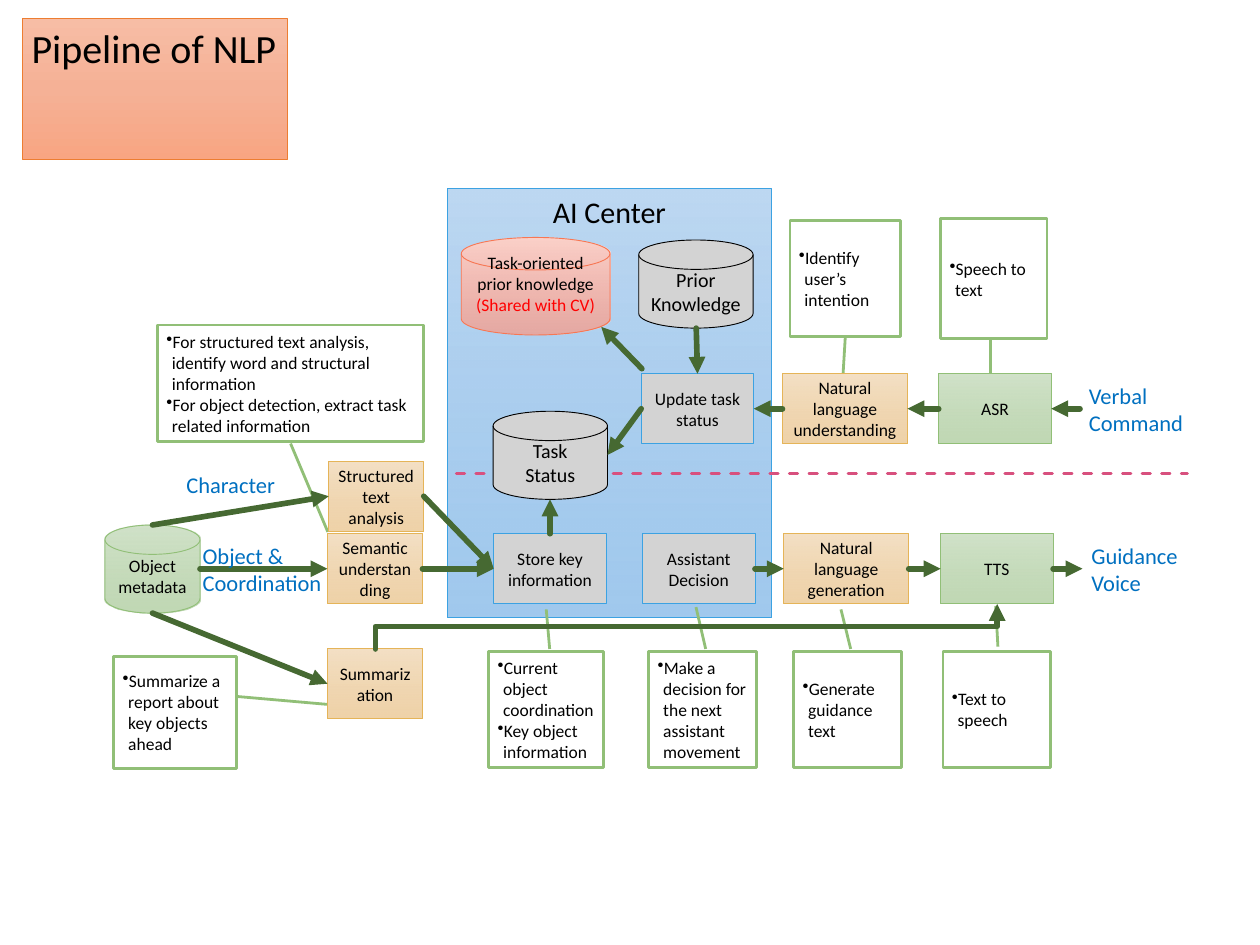
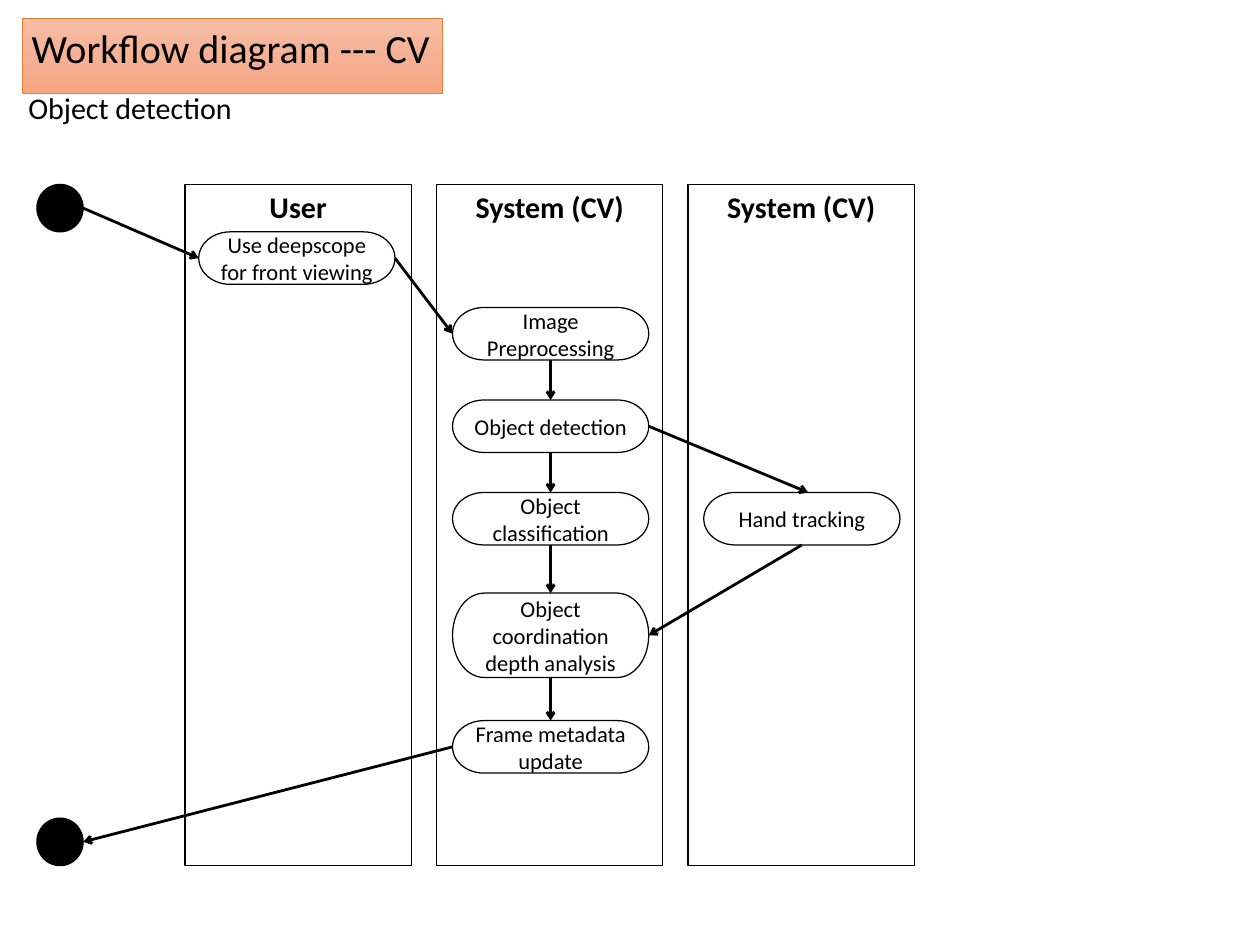
from lxml import etree
from pptx import Presentation
from pptx.dml.color import RGBColor
from pptx.enum.dml import MSO_LINE
from pptx.enum.shapes import MSO_CONNECTOR as LINK, MSO_SHAPE as SHAPE
from pptx.enum.text import MSO_ANCHOR as ANCHOR, MSO_AUTO_SIZE as FIT, PP_ALIGN as ALIGN
from pptx.oxml.ns import qn
from pptx.util import Pt

FONT = "Calibri"
COLORS = {
    "black": "000000", "white": "FFFFFF", "gray": "D3D3D3", "red": "FF0000",
    "label": "0070C0", "arrow": "466932", "divider": "D8507E",
    "title line": "ED7D31", "blue line": "3CA2E2", "green line": "91BF77",
    "orange line": "E5B458", "red line": "F77754",
}
# Vertical gradients: position, colour, opacity (all in percent except colour)
GRADIENTS = {
    "title": [(0, "F7BDA5", 100), (50, "F5B196", 100), (100, "F8A582", 100)],
    "blue": [(0, "BDD8F2", 100), (100, "81B7E8", 74)],
    "orange": [(0, "F4E0C5", 100), (100, "EAC48C", 74)],
    "green": [(0, "D1E2C9", 100), (100, "ACCC9C", 74)],
    "red": [(0, "FCD1C9", 100), (100, "F89C8A", 74)],
}
TOP, LEFT, BOTTOM, RIGHT = range(4)


def rgb(name):
    return RGBColor.from_string(COLORS[name])


def points(*lengths):
    return [Pt(length) for length in lengths]


def paint(shape, fill, line, weight):
    if fill in GRADIENTS and not (fill == "red" and line != "red line"):
        shape.fill.gradient()
        shape.fill.gradient_angle = 270
        stops = shape._element.spPr.find(qn("a:gradFill")).find(qn("a:gsLst"))
        for stop in list(stops):
            stops.remove(stop)
        for position, color, opacity in GRADIENTS[fill]:
            stop = etree.SubElement(stops, qn("a:gs"), pos=str(position * 1000))
            tone = etree.SubElement(stop, qn("a:srgbClr"), val=color)
            if opacity < 100:
                etree.SubElement(tone, qn("a:alpha"), val=str(opacity * 1000))
    else:
        shape.fill.solid()
        shape.fill.fore_color.rgb = rgb(fill)
    shape.line.color.rgb = rgb(line)
    shape.line.width = Pt(weight)


def write(shape, lines, size, color="black", align=ALIGN.CENTER,
          anchor=ANCHOR.MIDDLE, bold=False, wrap=True, bullets=False):
    """Fill a shape with paragraphs; a line is text or a (text, colour) pair."""
    frame = shape.text_frame
    frame.word_wrap = wrap
    frame.auto_size = FIT.NONE if wrap else FIT.SHAPE_TO_FIT_TEXT
    frame.vertical_anchor = anchor
    for index, line in enumerate(lines):
        text, tone = (line, color) if isinstance(line, str) else line
        para = frame.add_paragraph() if index else frame.paragraphs[0]
        para.alignment = align
        if bullets:
            props = para._p.get_or_add_pPr()
            props.set("marL", str(Pt(4.5)))
            props.set("indent", str(Pt(-4.5)))
            etree.SubElement(props, qn("a:buChar"), char="•")
        span = para.add_run()
        span.text = text
        span.font.name = FONT
        span.font.size = Pt(size)
        span.font.bold = bold
        span.font.color.rgb = rgb(tone)


def add_page(deck, title, width):
    page = deck.slides.add_slide(deck.slide_layouts[5])
    box = page.shapes.title
    box.left, box.top, box.width, box.height = points(18, 15, width, 46)
    paint(box, "title", "title line", 0.5)
    write(box, [title], 32, align=ALIGN.LEFT, anchor=ANCHOR.TOP, wrap=False)
    return page


def add_box(page, kind, place, fill, line, lines=(), size=14, weight=0.75, **style):
    box = page.shapes.add_shape(kind, *points(*place))
    box.shadow.inherit = False
    paint(box, fill, line, weight)
    if lines:
        write(box, lines, size, **style)
    return box


def add_callout(page, place, pointer, lines):
    box = add_box(page, SHAPE.LINE_CALLOUT_1, place, "white", "green line", lines,
                  weight=2.25, align=ALIGN.LEFT, bullets=True)
    for index, value in enumerate(pointer):
        box.adjustments[index] = value


def add_label(page, place, lines, size=18, color="label", align=ALIGN.LEFT):
    box = page.shapes.add_textbox(*points(*place))
    write(box, lines, size, color, align, ANCHOR.TOP, wrap=False)


def add_line(page, start, end, color, weight, head=None, dash=None, kind=LINK.STRAIGHT):
    """Draw a line; each end is an (x, y) point or a (shape, side) pair."""
    joined = [not isinstance(tip[0], (int, float)) for tip in (start, end)]
    corners = [(0, 0) if join else tip for join, tip in zip(joined, (start, end))]
    link = page.shapes.add_connector(kind, *points(*corners[0], *corners[1]))
    if joined[0]:
        link.begin_connect(*start)
    if joined[1]:
        link.end_connect(*end)
    link.line.color.rgb = rgb(color)
    link.line.width = Pt(weight)
    if dash:
        link.line.dash_style = dash
    props = link._element.spPr
    outline = props.find(qn("a:ln"))
    if color != "black":
        outline.set("cap", "rnd")
    if head:
        etree.SubElement(outline, qn("a:tailEnd"), type=head)
    etree.SubElement(props, qn("a:effectLst"))
    return link


def build_pipeline(deck):
    page = add_page(deck, "Pipeline of NLP", 212)

    # Centre panel and divider
    add_box(page, SHAPE.RECTANGLE, (358, 151, 259, 343), "blue", "blue line",
            ["AI Center"], 24, anchor=ANCHOR.TOP)
    add_line(page, (365, 378.5), (950, 378.5), "divider", 2.25, dash=MSO_LINE.DASH)

    # Callouts: place, pointer, bullets
    for place, pointer, lines in [
        ((91, 525, 98, 89.5), (0.36, 1.01, 0.43, 1.74),
         ["Summarize a report about key objects ahead"]),
        ((126, 260, 213, 93), (1.02, 0.5, 1.78, 0.64),
         ["For structured text analysis, identify word and structural information",
          "For object detection, extract task related information"]),
        ((391, 521, 92, 93), (-0.02, 0.53, -0.36, 0.5),
         ["Current object coordination", "Key object information"]),
        ((519, 521, 86, 93), (-0.02, 0.53, -0.38, 0.44),
         ["Make a decision for the next assistant movement"]),
        ((632, 176.5, 88.5, 93), (1, 0.5, 1.32, 0.48), ["Identify user’s intention"]),
        ((635, 521, 86, 93), (-0.02, 0.53, -0.36, 0.44), ["Generate guidance text"]),
        ((754.5, 521, 86, 93), (-0.04, 0.51, -0.39, 0.49), ["Text to speech"]),
        ((752.5, 175, 85, 96), (1, 0.47, 1.29, 0.47), ["Speech to text"]),
    ]:
        add_callout(page, place, pointer, lines)

    # Data stores
    disk = SHAPE.FLOWCHART_MAGNETIC_DISK
    add_box(page, disk, (84, 420, 76, 70.5), "green", "green line", ["Object", "metadata"])
    add_box(page, disk, (394.5, 329, 91.5, 70.5), "gray", "black", ["Task", "Status"], 16)
    add_box(page, disk, (511, 192, 91.5, 70.5), "gray", "black", ["Prior", "Knowledge"], 16)
    shared = add_box(page, disk, (369, 190, 119, 78), "red", "red line",
                     ["Task-oriented prior knowledge", ("(Shared with CV)", "red")])
    shared.text_frame.margin_bottom = Pt(20.5)

    # Steps: left, top, width, colour, text
    steps = {}
    for name, left, top, width, fill, lines in [
        ("semantic", 262, 427, 76, "orange", ["Semantic", "understanding"]),
        ("summary", 262, 519, 76, "orange", ["Summarization"]),
        ("structured", 263, 369, 76, "orange", ["Structured text analysis"]),
        ("asr", 751, 299, 90, "green", ["ASR"]),
        ("tts", 752.5, 427, 90, "green", ["TTS"]),
        ("understanding", 626, 299, 100, "orange", ["Natural language understanding"]),
        ("generation", 627, 427, 100, "orange", ["Natural language generation"]),
        ("update", 513, 299, 90, "gray", ["Update task status"]),
        ("decision", 514, 427, 90, "gray", ["Assistant", "Decision"]),
        ("store", 395, 427, 90, "gray", ["Store key information"]),
    ]:
        line = "blue line" if fill == "gray" else f"{fill} line"
        steps[name] = add_box(page, SHAPE.RECTANGLE, (left, top, width, 56),
                              fill, line, lines)

    # Flow arrows
    for start, end in [
        ((steps["decision"], RIGHT), (steps["generation"], LEFT)),
        ((steps["generation"], RIGHT), (steps["tts"], LEFT)),
        ((steps["tts"], RIGHT), (866, 455)),
        ((864, 327), (steps["asr"], RIGHT)),
        ((steps["asr"], LEFT), (steps["understanding"], RIGHT)),
        ((steps["understanding"], LEFT), (steps["update"], RIGHT)),
        ((steps["update"], LEFT), (486, 364)),
        ((513.5, 295), (481, 261.5)),
        ((557, 262.5), (steps["update"], TOP)),
        ((steps["store"], TOP), (440, 399.5)),
        ((122, 420), (steps["structured"], LEFT)),
        ((160, 455), (steps["semantic"], LEFT)),
        ((122, 490.5), (steps["summary"], LEFT)),
        ((steps["structured"], RIGHT), (steps["store"], LEFT)),
        ((steps["semantic"], RIGHT), (steps["store"], LEFT)),
    ]:
        add_line(page, start, end, "arrow", 4.5, "triangle")

    # Summary to speech: an elbow turned a quarter so that it leaves upwards
    elbow = add_line(page, (567, 750), (531, 252.5), "arrow", 4.5, "triangle",
                     kind=LINK.ELBOW)
    elbow._element.spPr.find(qn("a:xfrm")).set("rot", "5400000")

    # Input and output labels
    add_label(page, (864, 302, 91, 51), ["Verbal", "Command"])
    add_label(page, (866, 430, 84, 51), ["Guidance", "Voice"])
    add_label(page, (142, 373, 86, 29), ["Character"])
    add_label(page, (155, 430, 111, 51), ["Object &", "Coordination"])


def build_workflow(deck):
    page = add_page(deck, "Workflow diagram --- CV", 336)
    add_label(page, (14.5, 68, 179, 36), ["Object detection"], 24, "black", ALIGN.CENTER)

    # Start and end dots
    for top in (147.5, 654.5):
        add_box(page, SHAPE.OVAL, (29.5, top, 37, 38), "black", "black", weight=1)

    # Swim lanes
    for index, name in enumerate(["User", "System (CV)", "System (CV)"]):
        add_box(page, SHAPE.RECTANGLE, (148 + 201.25 * index, 147.5, 181, 545),
                "white", "black", [name], 24, 1, anchor=ANCHOR.TOP, bold=True)

    # Activities: left, top, height, text
    viewing, preparing, detecting, classifying, locating, updating, tracking = [
        add_box(page, SHAPE.FLOWCHART_TERMINATOR, (left, top, 157, height),
                "white", "black", lines, 18, 1)
        for left, top, height, lines in [
            (159, 185.5, 42, ["Use deepscope for front viewing"]),
            (362, 246, 42, ["Image", "Preprocessing"]),
            (362, 320, 42, ["Object detection"]),
            (362, 394, 42, ["Object classification"]),
            (362, 474.5, 67.5, ["Object coordination depth analysis"]),
            (362, 576.5, 42, ["Frame metadata update"]),
            (563, 394, 42, ["Hand tracking"]),
        ]
    ]

    # Flow arrows
    chain = [preparing, detecting, classifying, locating, updating]
    down = [((upper, BOTTOM), (lower, TOP)) for upper, lower in zip(chain, chain[1:])]
    for start, end in down + [
        ((66.5, 166.5), (viewing, LEFT)),
        ((viewing, RIGHT), (preparing, LEFT)),
        ((detecting, RIGHT), (646.5, 394)),
        ((tracking, BOTTOM), (locating, RIGHT)),
        ((updating, LEFT), (66.5, 673.5)),
    ]:
        add_line(page, start, end, "black", 2.25, "arrow")


def main():
    deck = Presentation()
    deck.slide_width, deck.slide_height = points(1008, 756)
    build_pipeline(deck)
    build_workflow(deck)
    deck.save("out.pptx")


if __name__ == "__main__":
    main()
